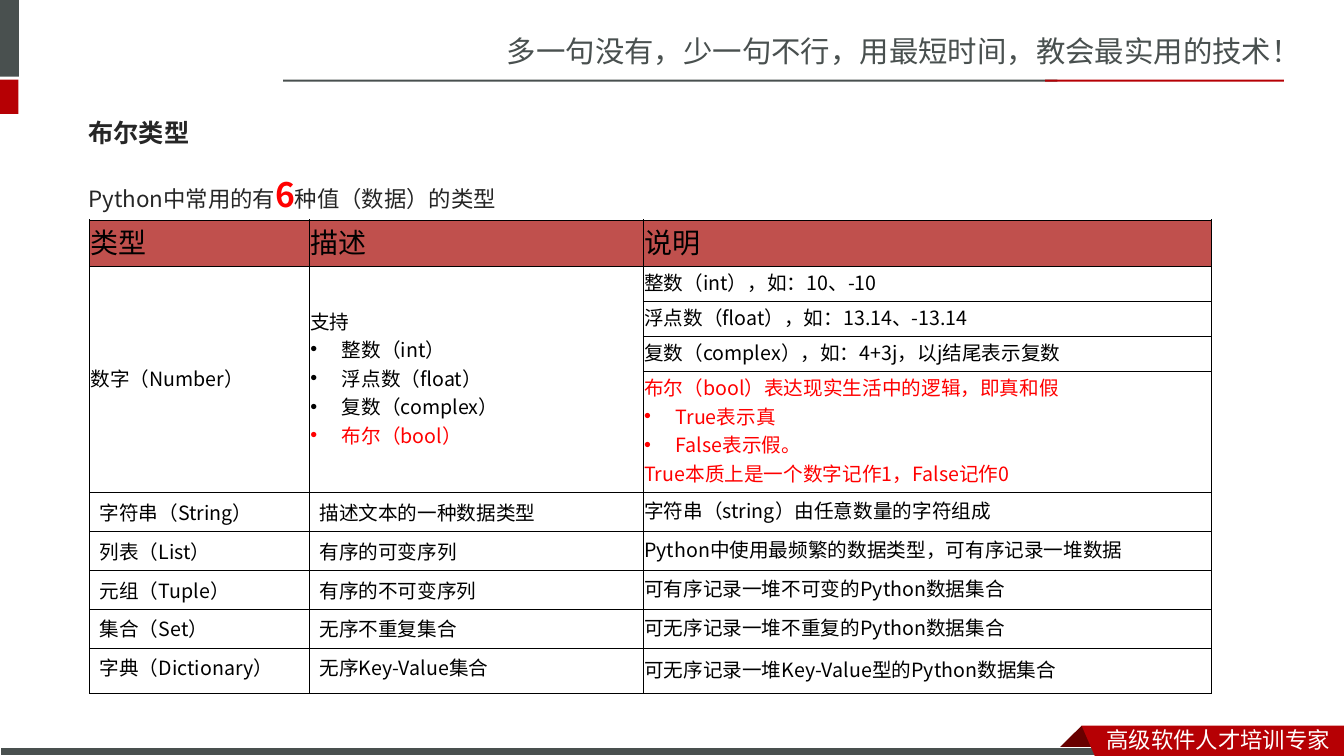
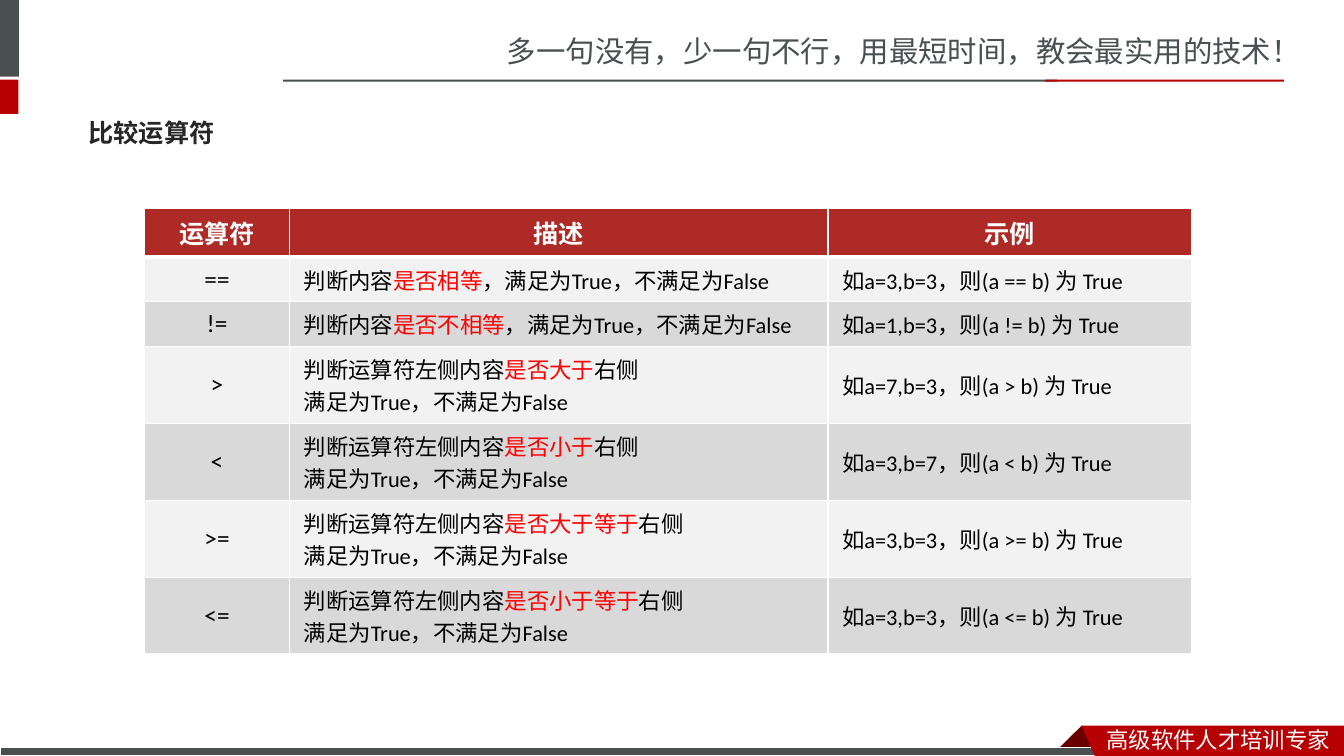
from dataclasses import dataclass

from lxml.etree import SubElement
from pptx import Presentation
from pptx.dml.color import RGBColor
from pptx.enum.shapes import MSO_SHAPE
from pptx.enum.text import MSO_ANCHOR, MSO_AUTO_SIZE, PP_ALIGN
from pptx.oxml import parse_xml
from pptx.oxml.ns import nsdecls, qn
from pptx.util import Pt


@dataclass(frozen=True)
class Theme:
    slate: str = "49504F"
    red: str = "B60004"
    dark_red: str = "680000"
    types_header: str = "C0504D"
    operators_header: str = "AD2A26"
    light_band: str = "F2F2F2"
    dark_band: str = "D9D9D9"
    ink: str = "262626"
    black: str = "000000"
    white: str = "FFFFFF"
    accent: str = "FF0000"
    cjk: str = "Noto Sans CJK SC"
    text: str = "Noto Sans CJK JP"
    latin: str = "Calibri"
    tagline: int = 21
    title: int = 18
    types_head: int = 20
    count: int = 24
    normal: int = 16
    small: int = 14
    indent: float = 22.5


THEME = Theme()
TITLE_BOX = (56, 74, 842, 41)
INTRO_BOX = (56, 120.7, 842, 42)
TYPES_BOX = (64, 157, 801, 339)
OPERATORS_BOX = (103, 149, 748, 318)
TIGHT = dict(margin_left=0.7, margin_top=0.7, margin_right=0.7, margin_bottom=3.6)
LOOSE = dict(margin_left=7.2, margin_top=3.6, margin_right=7.2, margin_bottom=3.6)
ROOMY = dict(margin_left=10, margin_top=4.3, margin_right=10, margin_bottom=4.3)


def style(size, color=THEME.black, bold=False, latin=THEME.text, cjk=THEME.text):
    return dict(size=size, color=color, bold=bold, latin=latin, cjk=cjk)


TYPES_HEAD = style(THEME.types_head)
TYPES_TEXT = style(THEME.small)
OPERATORS_HEAD = style(THEME.title, THEME.white, True, THEME.latin, THEME.cjk)
OPERATORS_SIGN = style(THEME.title, latin=THEME.latin, cjk=THEME.cjk)
OPERATORS_TEXT = style(THEME.normal, latin=THEME.latin, cjk=THEME.cjk)


@dataclass(frozen=True)
class Line:
    """One paragraph: pieces are (text, style overrides) pairs."""
    pieces: tuple
    bullet: bool = False


def line(text, bullet=False, **overrides):
    return Line(((text, overrides),), bullet)


def set_bullet(paragraph, bullet):
    indent = Pt(THEME.indent) if bullet else 0
    properties = paragraph._p.get_or_add_pPr()
    properties.set("marL", str(indent))
    properties.set("indent", str(-indent))
    if bullet:
        SubElement(properties, qn("a:buFont")).set("typeface", "Arial")
        SubElement(properties, qn("a:buChar")).set("char", "•")
    else:
        SubElement(properties, qn("a:buNone"))


def write(frame, lines, base, align=PP_ALIGN.LEFT):
    for index, entry in enumerate(lines):
        paragraph = frame.add_paragraph() if index else frame.paragraphs[0]
        set_bullet(paragraph, entry.bullet)
        paragraph.alignment = align
        paragraph.space_before = Pt(0)
        for text, overrides in entry.pieces:
            look = {**base, **overrides}
            run = paragraph.add_run()
            run.text = text
            font = run.font
            font.size, font.bold, font.name = Pt(look["size"]), look["bold"], look["latin"]
            font.color.rgb = RGBColor.from_string(look["color"])
            SubElement(font._element, qn("a:ea")).set("typeface", look["cjk"])


def place(shape, box):
    for side, value in zip(("left", "top", "width", "height"), box):
        setattr(shape, side, Pt(value))


def paint(shape, fill, outline=None):
    shape.shadow.inherit = False
    shape.fill.solid()
    shape.fill.fore_color.rgb = RGBColor.from_string(fill)
    if outline:
        shape.line.color.rgb = RGBColor.from_string(outline)
        shape.line.width = Pt(0.75)
    else:
        shape.line.fill.background()
    return shape


def add_bar(slide, box, fill, outline=None):
    return paint(slide.shapes.add_shape(MSO_SHAPE.RECTANGLE, *map(Pt, box)), fill, outline)


def add_polygon(slide, points, fill):
    start, *rest = [(Pt(x), Pt(y)) for x, y in points]
    builder = slide.shapes.build_freeform(*start)
    builder.add_line_segments(rest, close=True)
    return paint(builder.convert_to_shape(), fill)


def add_label(slide, box, text, look):
    label = slide.shapes.add_textbox(*map(Pt, box))
    label.text_frame.word_wrap = True
    write(label.text_frame, [line(text)], look)
    return label


def draw_frame(slide, master):
    """Draw the header and footer, then hand them to the master."""
    parts = [
        add_label(slide, (355, 20.2, 605, 34), "多一句没有，少一句不行，用最短时间，教会最实用的技术！",
                  style(THEME.tagline, THEME.slate, latin=THEME.cjk, cjk=THEME.cjk)),
        add_bar(slide, (0, 0, 13.6, 54.7), THEME.slate),
        add_bar(slide, (0, 56.9, 13.2, 24.5), THEME.red),
        add_bar(slide, (202.3, 56.8, 553, 1.5), THEME.slate),
        add_bar(slide, (746.6, 56.8, 170.6, 1.5), THEME.red),
        add_polygon(slide, [(772.6, 518.4), (788.4, 534.2), (787.7, 535),
                            (757.4, 535), (756.7, 534.2)], THEME.dark_red),
        add_bar(slide, (0, 533.8, 791.3, 6.2), THEME.slate, THEME.white),
        add_polygon(slide, [(772.6, 518.4), (960, 518.4), (960, 540), (782, 540)], THEME.red),
        add_label(slide, (783.4, 514.8, 176.6, 25.2), "高级软件人才培训专家",
                  style(THEME.normal, THEME.white, latin=THEME.cjk, cjk=THEME.cjk)),
    ]
    for number, part in enumerate(parts, 101):
        part.element.nvSpPr.cNvPr.set("id", str(number))
        master.shapes.element.append(part.element)


def fill_placeholder(placeholder, box, entry, base, anchor):
    place(placeholder, box)
    frame = placeholder.text_frame
    frame.auto_size = MSO_AUTO_SIZE.NONE
    frame.vertical_anchor = anchor
    write(frame, [entry], base)


def add_title(slide, text):
    fill_placeholder(slide.shapes.title, TITLE_BOX, line(text),
                     style(THEME.title, THEME.ink, True), MSO_ANCHOR.MIDDLE)


def set_borders(cell, color, top, bottom, sides):
    properties = cell._tc.get_or_add_tcPr()
    for index, (side, width) in enumerate(zip("LRTB", (sides, sides, top, bottom))):
        properties.insert(index, parse_xml(
            f'<a:ln{side} {nsdecls("a")} w="{Pt(width)}"><a:solidFill>'
            f'<a:srgbClr val="{color}"/></a:solidFill></a:ln{side}>'))


def add_grid(slide, box, widths, heights):
    table = slide.shapes.add_table(len(heights), len(widths), *map(Pt, box)).table
    table.first_row = table.horz_banding = False
    for column, width in zip(table.columns, widths):
        column.width = Pt(width)
    for row, height in zip(table.rows, heights):
        row.height = Pt(height)
    return table


def fill_cell(cell, lines, look, fill, margins, anchor=MSO_ANCHOR.MIDDLE, align=PP_ALIGN.LEFT):
    cell.fill.solid()
    cell.fill.fore_color.rgb = RGBColor.from_string(fill)
    cell.vertical_anchor = anchor
    for side, value in margins.items():
        setattr(cell, side, Pt(value))
    write(cell.text_frame, lines, look, align)


def add_types_table(slide, box):
    red = dict(color=THEME.accent)
    kinds = [line(kind, True) for kind in ("整数（int）", "浮点数（float）", "复数（complex）")]
    number_notes = [
        [line("整数（int），如：10、-10")],
        [line("浮点数（float），如：13.14、-13.14")],
        [line("复数（complex），如：4+3j，以j结尾表示复数")],
        [line("布尔（bool）表达现实生活中的逻辑，即真和假", **red),
         line("True表示真", True, **red),
         line("False表示假。", True, **red),
         line("True本质上是一个数字记作1，False记作0", **red)],
    ]
    other_types = [
        ("字符串（String）", "描述文本的一种数据类型", "字符串（string）由任意数量的字符组成"),
        ("列表（List）", "有序的可变序列", "Python中使用最频繁的数据类型，可有序记录一堆数据"),
        ("元组（Tuple）", "有序的不可变序列", "可有序记录一堆不可变的Python数据集合"),
        ("集合（Set）", "无序不重复集合", "可无序记录一堆不重复的Python数据集合"),
        ("字典（Dictionary）", "无序Key-Value集合", "可无序记录一堆Key-Value型的Python数据集合"),
    ]
    heights = [33.5, 25, 25, 25, 86.5] + [27.75] * 4 + [32.5]
    table = add_grid(slide, box, (157, 238.5, 405.5), heights)
    for column, heading in enumerate(("类型", "描述", "说明")):
        fill_cell(table.cell(0, column), [line(heading)], TYPES_HEAD, THEME.types_header, TIGHT)
    number = [line("数字（Number）")]
    support = [line("支持"), *kinds, line("布尔（bool）", True, **red)]
    for column, lines in enumerate((number, support)):
        table.cell(1, column).merge(table.cell(4, column))
        fill_cell(table.cell(1, column), lines, TYPES_TEXT, THEME.white, TIGHT)
    for row, lines in enumerate(number_notes, 1):
        fill_cell(table.cell(row, 2), lines, TYPES_TEXT, THEME.white, TIGHT)
    for row, (name, description, note) in enumerate(other_types, 5):
        for column, text in enumerate((name, description)):
            fill_cell(table.cell(row, column), [line(text)], TYPES_TEXT, THEME.white,
                      LOOSE, MSO_ANCHOR.TOP)
        fill_cell(table.cell(row, 2), [line(note)], TYPES_TEXT, THEME.white, TIGHT)
    for cell in table.iter_cells():
        set_borders(cell, THEME.black, 0.5, 0.5, 0.5)


def describe(subject, test, ending):
    return Line(((subject, {}), (test, dict(color=THEME.accent)), (ending, {})))


def add_operators_table(slide, box):
    outcome = "满足为True，不满足为False"
    equality = [("==", "是否相等", 3, 3), ("!=", "是否不相等", 1, 3)]
    ordering = [(">", "是否大于", 7, 3), ("<", "是否小于", 3, 7),
                (">=", "是否大于等于", 3, 3), ("<=", "是否小于等于", 3, 3)]
    heights = [34.7] + [31.8] * len(equality) + [55] * len(ordering)
    table = add_grid(slide, box, (104, 384.5, 259.5), heights)
    for column, heading in enumerate(("运算符", "描述", "示例")):
        fill_cell(table.cell(0, column), [line(heading)], OPERATORS_HEAD,
                  THEME.operators_header, ROOMY, align=PP_ALIGN.CENTER)
        set_borders(table.cell(0, column), THEME.white, 1, 3, 1)
    for row, (sign, test, a, b) in enumerate(equality + ordering, 1):
        if row <= len(equality):
            description = [describe("判断内容", test, f"，{outcome}")]
        else:
            description = [describe("判断运算符左侧内容", test, "右侧"), line(outcome)]
        example = [line(f"如a={a},b={b}，则(a {sign} b) 为 True")]
        band = THEME.light_band if row % 2 else THEME.dark_band
        fill_cell(table.cell(row, 0), [line(sign)], OPERATORS_SIGN, band, ROOMY,
                  align=PP_ALIGN.CENTER)
        for column, lines in enumerate((description, example), 1):
            fill_cell(table.cell(row, column), lines, OPERATORS_TEXT, band, ROOMY)
        for column in range(3):
            set_borders(table.cell(row, column), THEME.white, 3 if row == 1 else 1, 1, 1)


def build_types_slide(slide):
    add_title(slide, "布尔类型")
    intro = Line((("Python中常用的有", {}),
                  ("6", dict(size=THEME.count, color=THEME.accent, bold=True)),
                  ("种值（数据）的类型", {})))
    fill_placeholder(slide.placeholders[1], INTRO_BOX, intro,
                     style(THEME.normal, THEME.ink), MSO_ANCHOR.TOP)
    add_types_table(slide, TYPES_BOX)


def build_operators_slide(slide):
    add_title(slide, "比较运算符")
    add_operators_table(slide, OPERATORS_BOX)


def main():
    deck = Presentation()
    deck.slide_width, deck.slide_height = Pt(960), Pt(540)
    title_and_content, title_only = deck.slide_layouts[1], deck.slide_layouts[5]
    types_slide = deck.slides.add_slide(title_and_content)
    draw_frame(types_slide, deck.slide_master)
    build_types_slide(types_slide)
    build_operators_slide(deck.slides.add_slide(title_only))
    deck.save("out.pptx")


if __name__ == "__main__":
    main()
